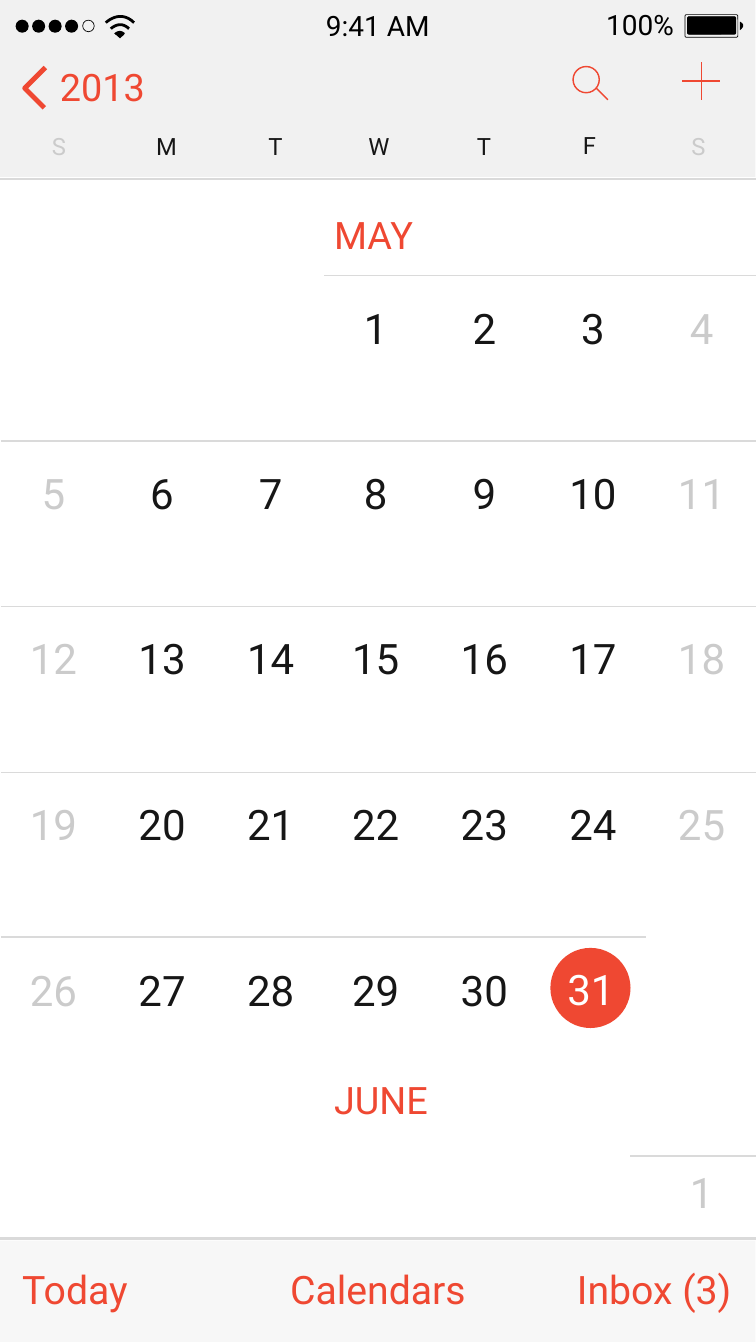
"""Month calendar screen. Lengths are cells of a grid of 150 columns by 266.7 rows."""
from typing import NamedTuple

from lxml import etree
from pptx import Presentation
from pptx.dml.color import RGBColor
from pptx.enum.shapes import MSO_CONNECTOR, MSO_SHAPE
from pptx.enum.text import MSO_ANCHOR, MSO_AUTO_SIZE, PP_ALIGN
from pptx.oxml.ns import qn
from pptx.util import Inches, Pt

COLS, ROWS = 150, 266.7
CELL = Inches(15) / COLS
RECT, ROUND, OVAL = MSO_SHAPE.RECTANGLE, MSO_SHAPE.ROUNDED_RECTANGLE, MSO_SHAPE.OVAL
STRAIGHT = MSO_CONNECTOR.STRAIGHT
LEFT, CENTER = PP_ALIGN.LEFT, PP_ALIGN.CENTER
MIDDLE = MSO_ANCHOR.MIDDLE
FIT = MSO_AUTO_SIZE.SHAPE_TO_FIT_TEXT
FONT = "Roboto"
HEX = {"red": "EF4832", "ink": "161616", "pale": "CBCBCB", "rule": "DADADA",
       "head": "E5E5E5", "foot": "F7F7F7", "black": "000000", "white": "FFFFFF"}

Point = tuple[float, float]


class Box(NamedTuple):
    left: float
    top: float
    width: float
    height: float


class Label(NamedTuple):
    words: str
    box: Box
    size: int
    color: str = "red"
    align: PP_ALIGN = CENTER


class Week(NamedTuple):
    rule: float
    left: float
    right: float
    first: int
    col: int
    count: int
    drop: float = 4.4


HEADER = [
    Label("2013", Box(11.2, 12, 18.8, 10.3), 54, align=LEFT),
    Label("S", Box(9.6, 25.5, 4.8, 7.1), 34, "pale", LEFT),
    Label("M", Box(30.1, 25.5, 5.9, 7.1), 34, "ink"),
    Label("T", Box(52.4, 25.5, 4.5, 7.1), 34, "ink"),
    Label("W", Box(72.1, 25.5, 6.2, 7.1), 34, "ink"),
    Label("T", Box(93.8, 25.5, 4.5, 7.1), 34, "ink"),
    Label("F", Box(114.7, 25.3, 4.5, 7.1), 34, "ink"),
    Label("S", Box(136.5, 25.5, 4.8, 7.1), 34, "pale", LEFT),
]
MONTHS = [
    Label("MAY", Box(65.6, 41.3, 17.8, 10.3), 54, align=LEFT),
    Label("JUNE", Box(65.6, 213, 21.5, 10.3), 54, align=LEFT),
]
FOOTER = [
    Label("Today", Box(3.7, 250.4, 23.5, 10.8), 56, align=LEFT),
    Label("Calendars", Box(55.6, 250.4, 38.8, 10.8), 56),
    Label("Inbox (3)", Box(113.2, 250.4, 33.2, 10.8), 56),
]
STATUS = [
    Label("9:41 AM", Box(63.8, 1, 22.3, 7.9), 40, "black"),
    Label("100%", Box(119.1, 0.9, 15.8, 8), 40, "black"),
]
WEEKS = [
    Week(54.7, 64.3, COLS, 1, 3, 4),
    Week(87.5, 0.2, COLS, 5, 0, 7),
    Week(120.3, 0.2, COLS, 12, 0, 7),
    Week(153.3, 0.2, COLS, 19, 0, 7),
    Week(185.9, 0.2, 128.2, 26, 0, 6, 4.6),
    Week(229.4, 125.1, COLS, 1, 6, 1, 1.2),
]
TODAY = 31


def emu(cells: float) -> int:
    return round(cells * CELL)


def rgb(name: str) -> RGBColor:
    return RGBColor.from_string(HEX[name])


def paint(shape, fill: str | None, line: str | None, weight: float) -> None:
    shape.shadow.inherit = False
    if fill:
        shape.fill.solid()
        shape.fill.fore_color.rgb = rgb(fill)
    else:
        shape.fill.background()
    if line:
        shape.line.color.rgb = rgb(line)
        shape.line.width = Pt(weight)
    else:
        shape.line.fill.background()


def block(board, kind, box: Box, fill=None, line=None, weight=1.0, bend=None):
    shape = board.add_shape(kind, *map(emu, box))
    if bend is not None:
        shape.adjustments[0] = bend
    paint(shape, fill, line, weight)
    return shape


def trace(board, points: list[Point], fill=None, line=None, weight=1.0) -> None:
    """Draw a path through the points, closed when it is filled."""
    start, *rest = [(emu(x), emu(y)) for x, y in points]
    pen = board.build_freeform(*start, scale=1.0)
    pen.add_line_segments(rest, close=fill is not None)
    paint(pen.convert_to_shape(), fill, line, weight)


def curve(start: Point, bend: Point, end: Point, steps: int = 16) -> list[Point]:
    """Sample a cubic curve whose first handle lies on its start."""
    def at(t: float, axis: int) -> float:
        u = 1 - t
        return (start[axis] * (u ** 3 + 3 * u * u * t)
                + 3 * bend[axis] * u * t * t + end[axis] * t ** 3)
    return [(at(i / steps, 0), at(i / steps, 1)) for i in range(steps + 1)]


def rule(board, start: Point, end: Point, color: str = "rule", weight: float = 2) -> None:
    line = board.add_connector(STRAIGHT, *map(emu, (*start, *end)))
    line.line.color.rgb = rgb(color)
    line.line.width = Pt(weight)
    etree.SubElement(line._element.spPr, qn("a:effectLst"))


def text(board, words: str, box: Box, *, size: int, color: str, align=CENTER) -> None:
    frame = board.add_textbox(*map(emu, box)).text_frame
    frame.word_wrap = False
    frame.auto_size = FIT
    frame.vertical_anchor = MIDDLE
    frame.margin_left = frame.margin_right = emu(0.7)
    frame.margin_top = frame.margin_bottom = emu(0.7)
    para = frame.paragraphs[0]
    para.alignment = align
    run = para.add_run()
    run.text = words
    run.font.name, run.font.size = FONT, Pt(size)
    run.font.color.rgb = rgb(color)


def write(board, labels: list[Label]) -> None:
    for item in labels:
        text(board, item.words, item.box, size=item.size,
             color=item.color, align=item.align)


def draw_head(board) -> None:
    band = block(board, RECT, Box(0, 0, 149.9, 35.1), "head")
    tint = band._element.spPr.find(qn("a:solidFill"))[0]
    etree.SubElement(tint, qn("a:alpha"), val="50000")
    trace(board, [(9, 13.4), (4.9, 17.5), (8.8, 21.4)], line="red", weight=7)
    rule(board, (0.1, 35.5), (COLS, 35.5))
    block(board, OVAL, Box(113.7, 13.2, 5.2, 5.2), line="red", weight=2)
    rule(board, (118.3, 17.5), (120.6, 19.8), "red")
    rule(board, (139.2, 12.4), (139.2, 19.8), "red")
    rule(board, (135.4, 16.1), (142.8, 16.1), "red")
    write(board, HEADER)


def draw_week(board, week: Week) -> None:
    rule(board, (week.left, week.rule), (week.right, week.rule))
    for step in range(week.count):
        col, day = week.col + step, week.first + step
        mid = 10.6 + 21.55 * col - (0.7 if col > 2 else 0)
        wide = 6.5 if day < 10 else 11.3
        top = week.rule + week.drop
        color = "pale" if col in (0, 6) else "ink"
        if day == TODAY:
            block(board, OVAL, Box(109.2, 188.1, 15.9, 15.9), "red")
            mid, top, color = mid - 0.4, top - 0.2, "white"
        text(board, str(day), Box(mid - wide / 2, top, wide, 11.7), size=60, color=color)


def draw_status(board) -> None:
    for i in range(4):
        block(board, OVAL, Box(3.1 + 3.27 * i, 3.9, 2.6, 2.6), "black")
    block(board, OVAL, Box(16.4, 4, 2.3, 2.3), line="black")
    for x, y, wide in ((21, 4.5, 5.6), (22, 5.7, 3.6), (22.9, 6.8, 1.7)):
        arc = curve((x, y), (x + wide / 2, y - wide / 2), (x + wide, y))
        trace(board, arc, line="black", weight=4)
    trace(board, [(24.7, 6.8), (23.8, 7.6), (22.8, 6.7)], "black")
    write(board, STATUS)
    block(board, ROUND, Box(135.9, 2.9, 10.5, 4.5), line="black", bend=0.07)
    block(board, ROUND, Box(136.4, 3.3, 9.6, 3.5), "black", "black", bend=0.09)
    trace(board, curve((146.8, 6), (148.3, 5), (146.8, 4.3)), "black")


def main() -> None:
    deck = Presentation()
    deck.slide_width, deck.slide_height = emu(COLS), emu(ROWS)
    board = deck.slides.add_slide(deck.slide_layouts[6]).shapes
    draw_head(board)
    for week in WEEKS:
        draw_week(board, week)
    write(board, MONTHS)
    rule(board, (0.1, 245.8), (COLS, 245.8), weight=4)
    block(board, RECT, Box(0, 246.2, 149.9, 20.1), "foot")
    write(board, FOOTER)
    draw_status(board.add_group_shape().shapes)
    deck.save("out.pptx")


if __name__ == "__main__":
    main()
